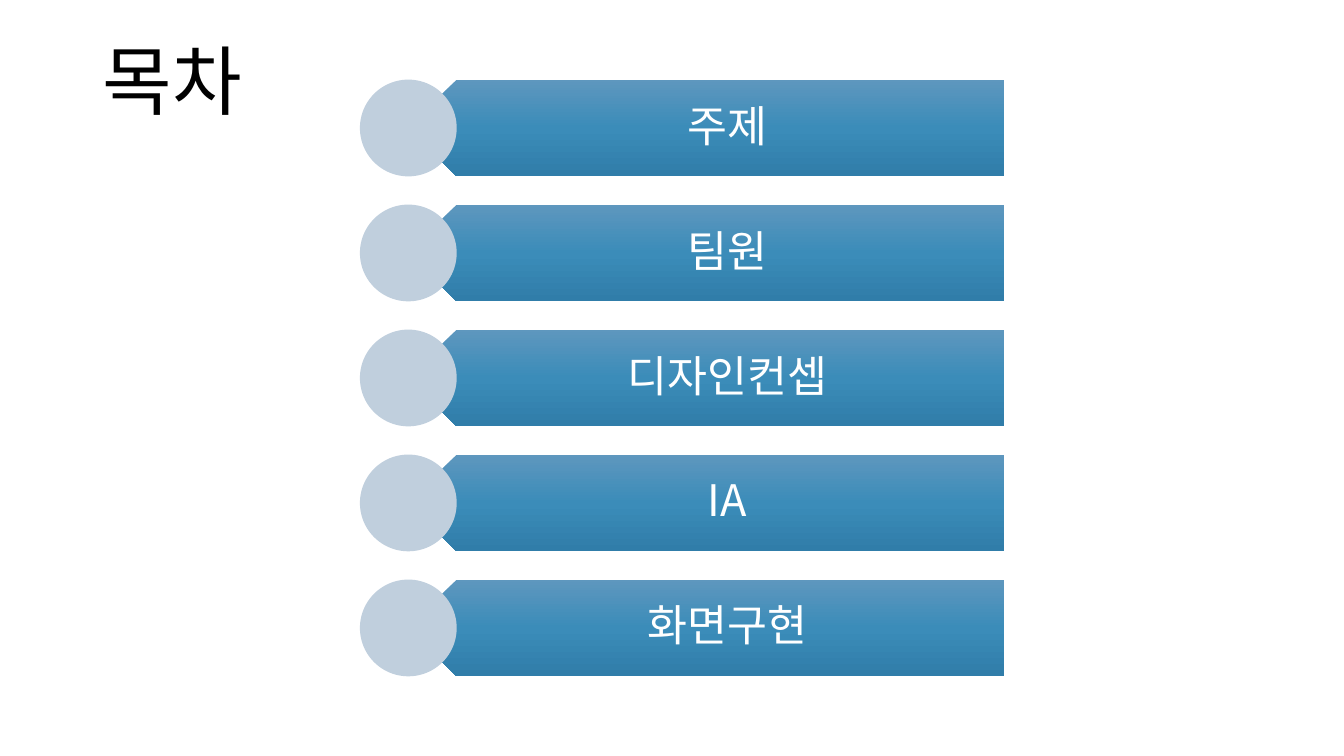
import copy

import pptx
import pptx.dml.color
import pptx.enum.shapes
import pptx.enum.text
import pptx.oxml
import pptx.oxml.ns
import pptx.util

Inches = pptx.util.Inches
qn = pptx.oxml.ns.qn
ALIGN = pptx.enum.text.PP_ALIGN

FONT = "Noto Sans CJK KR"
COLORS = {
    "title": "000000",
    "bar_text": "FFFFFF",
    "bar_top": "5E97BE",
    "bar_middle": "3B8CB9",
    "bar_bottom": "307DA9",
    "circle": "C0CFDD",
}
TOPICS = ["주제", "팀원", "디자인컨셉", "IA", "화면구현"]

FIRST_TOP, PITCH = 0.79, 1.24
CIRCLE_LEFT, BAR_HEIGHT, BAR_RIGHT = 3.57, 0.96, 9.96


def rgb(name):
    return pptx.dml.color.RGBColor.from_string(COLORS[name])


def write_text(tf, text, *, size, color, align, insets=None, space_after=None):
    """Fill a frame with one paragraph; space_after is a percentage of a line."""
    tf.word_wrap = True
    tf.vertical_anchor = pptx.enum.text.MSO_ANCHOR.MIDDLE
    if insets:
        (tf.margin_left, tf.margin_top,
         tf.margin_right, tf.margin_bottom) = map(Inches, insets)
    p = tf.paragraphs[0]
    p.alignment = align
    p.line_spacing = 0.9
    if space_after:
        p.space_after = pptx.util.Pt(0)
        spacing = p._p.pPr.find(qn("a:spcAft"))
        spacing.clear()
        percent = pptx.oxml.parse_xml(
            f'<a:spcPct {pptx.oxml.ns.nsdecls("a")} val="{space_after * 1000}"/>')
        spacing.append(percent)
    r = p.add_run()
    r.text = text
    r.font.size = pptx.util.Pt(size)
    r.font.name = FONT
    r.font.color.rgb = rgb(color)
    # Hangul takes its typeface from the East Asian font
    east_asian = pptx.oxml.parse_xml(
        f'<a:ea {pptx.oxml.ns.nsdecls("a")} typeface="{FONT}"/>')
    r.font._element.find(qn("a:latin")).addnext(east_asian)


class ContentsSlide:
    def __init__(self, prs):
        self.slide = prs.slides.add_slide(prs.slide_layouts[5])
        self.group = self.slide.shapes.add_group_shape()

    def title(self, text):
        sp = self.slide.shapes.title
        sp.left, sp.top = Inches(0.92), Inches(0.4)
        sp.width, sp.height = Inches(11.5), Inches(0.89)
        write_text(sp.text_frame, text, size=54, color="title", align=ALIGN.LEFT)

    def bar(self, text, top):
        """Add a bar whose left end is a point behind the circle's centre."""
        tip = CIRCLE_LEFT + BAR_HEIGHT / 2
        shoulder = CIRCLE_LEFT + BAR_HEIGHT
        bottom = top + BAR_HEIGHT
        outline = [(BAR_RIGHT, bottom), (shoulder, bottom),
                   (tip, top + BAR_HEIGHT / 2), (shoulder, top), (BAR_RIGHT, top)]
        points = [(Inches(x), Inches(y)) for x, y in outline]
        builder = self.group.shapes.build_freeform(*points[0])
        builder.add_line_segments(points[1:], close=True)
        sp = builder.convert_to_shape()
        sp.shadow.inherit = False
        sp.line.fill.background()
        self.gradient(sp, ["bar_top", "bar_middle", "bar_bottom"])
        write_text(sp.text_frame, text, size=31, color="bar_text",
                   align=ALIGN.CENTER, insets=(0.66, 0.13, 0.24, 0.13),
                   space_after=35)

    def gradient(self, sp, names):
        """Fill from top to bottom with evenly spaced colours."""
        sp.fill.gradient()
        sp.fill.gradient_angle = 270
        stops = sp._element.spPr.find(".//" + qn("a:gsLst"))
        while len(stops) < len(names):
            stops.append(copy.deepcopy(stops[0]))
        for i, (stop, name) in enumerate(zip(sp.fill.gradient_stops, names)):
            stop.position = i / (len(names) - 1)
            stop.color.rgb = rgb(name)

    def circle(self, top):
        sp = self.group.shapes.add_shape(
            pptx.enum.shapes.MSO_SHAPE.OVAL, Inches(CIRCLE_LEFT), Inches(top),
            Inches(BAR_HEIGHT), Inches(BAR_HEIGHT))
        sp.shadow.inherit = False
        sp.fill.solid()
        sp.fill.fore_color.rgb = rgb("circle")
        sp.line.fill.background()


def main():
    prs = pptx.Presentation()
    prs.slide_width, prs.slide_height = Inches(13.33), Inches(7.5)
    contents = ContentsSlide(prs)
    contents.title("목차")
    for i, topic in enumerate(TOPICS):
        top = FIRST_TOP + i * PITCH
        contents.bar(topic, top)
        contents.circle(top)
    prs.save("out.pptx")


if __name__ == "__main__":
    main()
